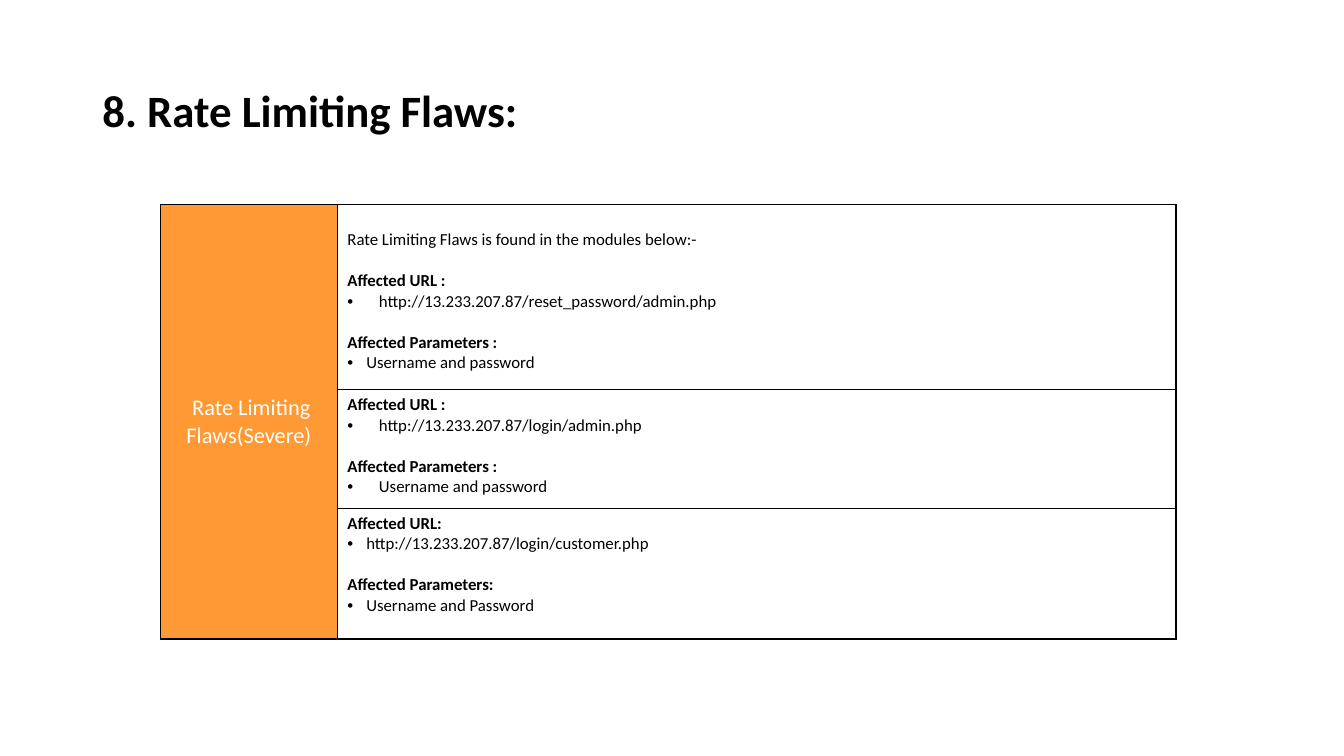
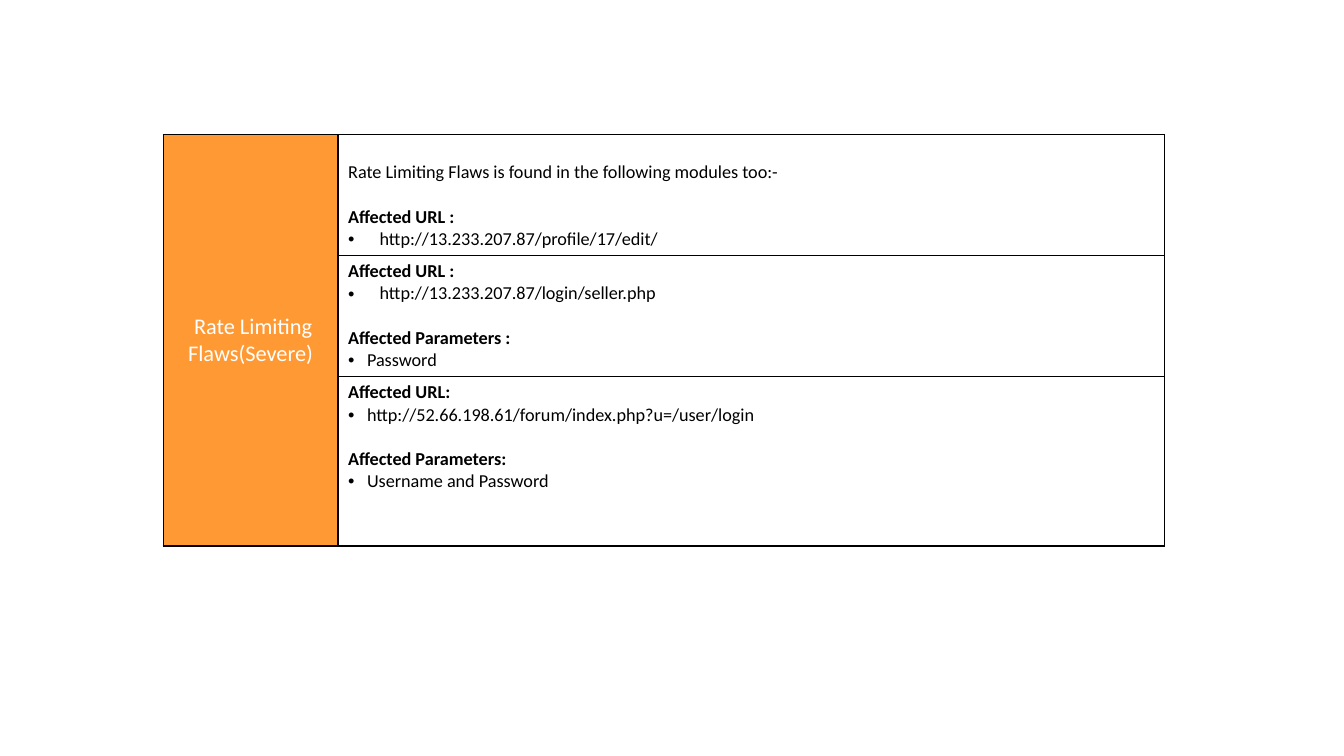
from dataclasses import dataclass
from typing import Optional

from lxml.etree import SubElement
from pptx import Presentation
from pptx.dml.color import RGBColor
from pptx.enum.text import MSO_ANCHOR as Anchor, MSO_AUTO_SIZE as AutoSize, PP_ALIGN as Align
from pptx.oxml import parse_xml
from pptx.oxml.ns import nsdecls, qn
from pptx.util import Pt

# Shared look
FONT = "Calibri"
BLACK, WHITE, ORANGE = "000000", "FFFFFF", "FF9933"
LABEL = " Rate Limiting Flaws(Severe)"
LINE_HEIGHT = 1.22
CELL_INSET = 3.6
WIDE, NARROW = 22.5, 13.5  # bullet indents
TITLE_ONLY, BLANK = 5, 6


@dataclass(frozen=True)
class Entry:
    """A bold heading with one bulleted value below it."""
    heading: str
    value: str
    indent: float = NARROW


@dataclass(frozen=True)
class Finding:
    """One table row: an optional intro and its entries."""
    height: float
    entries: tuple[Entry, ...]
    intro: str = ""


@dataclass(frozen=True)
class FlawPage:
    left: float
    top: float
    columns: tuple[float, float]
    header_height: float
    text_size: float
    findings: tuple[Finding, ...]
    title: Optional[str] = None


PAGES = (
    FlawPage(114.5, 121, (126.5, 599), 25, 12, (
        Finding(132.5, (
            Entry("Affected URL :", "http://13.233.207.87/reset_password/admin.php", WIDE),
            Entry("Affected Parameters :", "Username and password"),
        ), "Rate Limiting Flaws is found in the modules below:-"),
        Finding(84.5, (
            Entry("Affected URL :", "http://13.233.207.87/login/admin.php", WIDE),
            Entry("Affected Parameters :", "Username and password", WIDE),
        )),
        Finding(93.5, (
            Entry("Affected URL:", "http://13.233.207.87/login/customer.php"),
            Entry("Affected Parameters:", "Username and Password"),
        )),
    ), "8. Rate Limiting Flaws:"),
    FlawPage(116.5, 60.5, (125, 590.5), 35.5, 13, (
        Finding(85, (
            Entry("Affected URL :", "http://13.233.207.87/profile/17/edit/", WIDE),
        ), "Rate Limiting Flaws is found in the following modules too:-"),
        Finding(85, (
            Entry("Affected URL :", "http://13.233.207.87/login/seller.php", WIDE),
            Entry("Affected Parameters :", "Password"),
        )),
        Finding(121, (
            Entry("Affected URL:", "http://52.66.198.61/forum/index.php?u=/user/login"),
            Entry("Affected Parameters:", "Username and Password"),
        )),
    )),
)


def rgb(color: str) -> RGBColor:
    return RGBColor.from_string(color)


def style(para, size: float, color: str = BLACK, bold: bool = False) -> None:
    for span in para.runs:
        span.font.name = FONT
        span.font.size = Pt(size)
        span.font.bold = bold
        span.font.color.rgb = rgb(color)


def add_bullet(para, indent: float) -> None:
    properties = para._p.get_or_add_pPr()
    properties.set("marL", str(Pt(indent)))
    properties.set("indent", str(-Pt(indent)))
    SubElement(properties, qn("a:buFont")).set("typeface", "Arial")
    SubElement(properties, qn("a:buChar")).set("char", "•")


def set_borders(cell, sides: str) -> None:
    properties = cell._tc.get_or_add_tcPr()
    for position, side in enumerate(sides):
        properties.insert(position, parse_xml(
            f'<a:ln{side} {nsdecls("a")} w="{Pt(1)}"><a:solidFill>'
            f'<a:srgbClr val="{BLACK}"/></a:solidFill></a:ln{side}>'))


def fill_cell(cell, color: str) -> None:
    cell.fill.solid()
    cell.fill.fore_color.rgb = rgb(color)
    set_borders(cell, "LRTB")


def write_finding(cell, finding: Finding, size: float) -> None:
    frame = cell.text_frame
    blank_line = size * LINE_HEIGHT
    started = False

    def next_paragraph(text: str):
        nonlocal started
        para = frame.add_paragraph() if started else frame.paragraphs[0]
        started = True
        para.text = text
        return para

    if finding.intro:
        cell.margin_top = Pt(CELL_INSET + blank_line)
        style(next_paragraph(finding.intro), size)
    for entry in finding.entries:
        gap = blank_line if started else 0
        heading = next_paragraph(entry.heading)
        heading.space_before = Pt(gap)
        style(heading, size, bold=True)
        value = next_paragraph(entry.value)
        add_bullet(value, entry.indent)
        style(value, size)


def add_title(slide, text: str) -> None:
    title = slide.shapes.title
    title.left, title.top, title.width, title.height = Pt(66), Pt(29), Pt(828), Pt(104)
    frame = title.text_frame
    frame.text = text
    frame.auto_size = AutoSize.NONE
    frame.vertical_anchor = Anchor.MIDDLE
    para = frame.paragraphs[0]
    para.alignment = Align.LEFT
    para.line_spacing = 0.9
    style(para, 32, bold=True)


def add_findings_table(slide, page: FlawPage) -> None:
    heights = [page.header_height] + [finding.height for finding in page.findings]
    table = slide.shapes.add_table(
        len(heights), len(page.columns), Pt(page.left), Pt(page.top),
        Pt(sum(page.columns)), Pt(sum(heights))).table
    table.first_row = table.horz_banding = False
    for column, width in zip(table.columns, page.columns):
        column.width = Pt(width)
    for row, height in zip(table.rows, heights):
        row.height = Pt(height)

    # Open header row
    for cell in table.rows[0].cells:
        cell.margin_top = cell.margin_bottom = Pt(0)
        cell.fill.background()
        set_borders(cell, "B")

    # Findings
    for row_number, finding in enumerate(page.findings, start=1):
        fill_cell(table.cell(row_number, 0), ORANGE)
        finding_cell = table.cell(row_number, 1)
        fill_cell(finding_cell, WHITE)
        write_finding(finding_cell, finding, page.text_size)

    # Severity label over all findings
    label = table.cell(1, 0)
    label.merge(table.cell(len(page.findings), 0))
    label.vertical_anchor = Anchor.MIDDLE
    label.text_frame.text = LABEL
    para = label.text_frame.paragraphs[0]
    para.alignment = Align.CENTER
    style(para, 16, WHITE)


def main() -> None:
    deck = Presentation()
    deck.slide_width, deck.slide_height = Pt(960), Pt(540)
    for page in PAGES:
        layout = deck.slide_layouts[TITLE_ONLY if page.title else BLANK]
        slide = deck.slides.add_slide(layout)
        if page.title:
            add_title(slide, page.title)
        add_findings_table(slide, page)
    deck.save("out.pptx")


if __name__ == "__main__":
    main()
